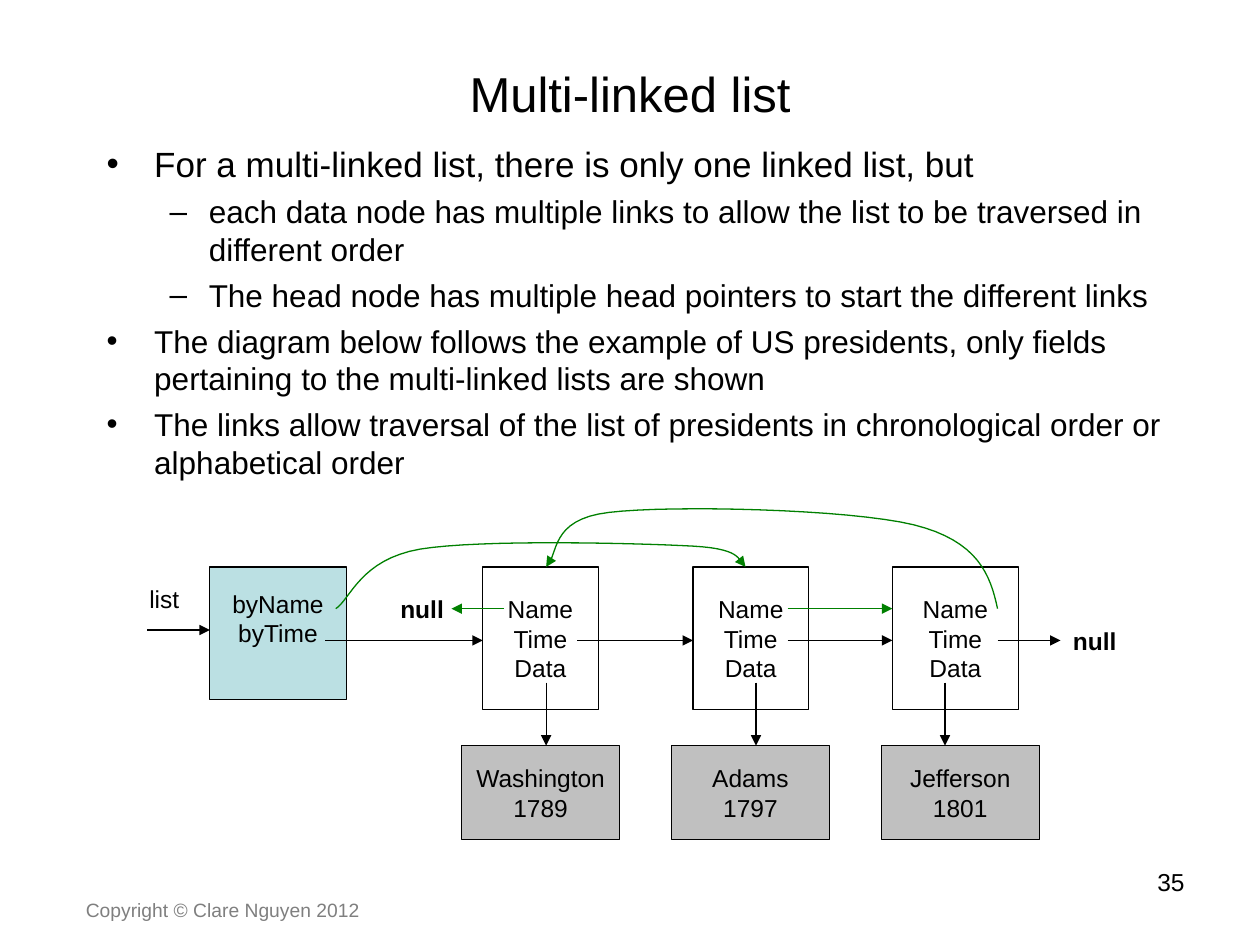
import dataclasses

import pptx
import pptx.dml.color
import pptx.enum.shapes
import pptx.enum.text
import pptx.oxml
import pptx.oxml.ns
import pptx.util
from lxml import etree

Cm = pptx.util.Cm
Pt = pptx.util.Pt
qn = pptx.oxml.ns.qn
ALIGN = pptx.enum.text.PP_ALIGN
ANCHOR = pptx.enum.text.MSO_ANCHOR


@dataclasses.dataclass(frozen=True)
class Theme:
    """Colours, font and type sizes of the slide."""
    font: str = "Arial"
    ink: str = "000000"
    muted: str = "7F7F7F"
    head: str = "BBE0E3"
    data: str = "C0C0C0"
    by_name: str = "008000"
    title: int = 28
    lead: int = 20
    body: int = 18
    label: int = 14
    footer: int = 11
    line: float = 0.75


class SlideBuilder:
    """Draws styled elements on the current slide."""

    def __init__(self, prs, theme):
        """Add a blank slide."""
        self.theme = theme
        self.s = prs.slides.add_slide(prs.slide_layouts[6])

    def rgb(self, value):
        """Return a colour object."""
        return pptx.dml.color.RGBColor.from_string(value)

    def run(self, p, text, size, color=None, bold=False):
        """Add one styled run to a paragraph."""
        r = p.add_run()
        r.text = text
        r.font.name = self.theme.font
        r.font.size = Pt(size)
        r.font.bold = bold
        r.font.color.rgb = self.rgb(color or self.theme.ink)

    def lines(self, tf, texts, size, align, **style):
        """Write one paragraph per text."""
        for i, text in enumerate(texts):
            p = tf.add_paragraph() if i else tf.paragraphs[0]
            p.alignment = align
            self.run(p, text, size, **style)

    def text(self, box, text, size, align=ALIGN.LEFT, anchor=ANCHOR.TOP, wrap=True, **style):
        """Add a one-paragraph text box that grows with its text unless it wraps."""
        tf = self.s.shapes.add_textbox(*map(Cm, box)).text_frame
        tf.word_wrap = wrap
        if not wrap:
            tf.auto_size = pptx.enum.text.MSO_AUTO_SIZE.SHAPE_TO_FIT_TEXT
        tf.vertical_anchor = anchor
        self.lines(tf, [text], size, align, **style)

    def bullets(self, box, items):
        """Add a two-level bulleted list."""
        levels = (("•", 0.96, -0.96), ("–", 2.06, -0.79))
        tf = self.s.shapes.add_textbox(*map(Cm, box)).text_frame
        tf.word_wrap = True
        for i, (level, size, text) in enumerate(items):
            p = tf.add_paragraph() if i else tf.paragraphs[0]
            mark, margin, indent = levels[level]
            p.level = level
            if i:
                p.space_before = Pt(4.5)
            pPr = p._p.get_or_add_pPr()
            pPr.set("marL", str(Cm(margin)))
            pPr.set("indent", str(Cm(indent)))
            etree.SubElement(pPr, qn("a:buFont"), typeface=self.theme.font)
            etree.SubElement(pPr, qn("a:buChar"), char=mark)
            self.run(p, text, size)

    def box(self, box, texts, fill=None, bottom=0.13):
        """Add an outlined rectangle with centred lines."""
        sp = self.s.shapes.add_shape(pptx.enum.shapes.MSO_SHAPE.RECTANGLE, *map(Cm, box))
        sp.shadow.inherit = False
        if fill:
            sp.fill.solid()
            sp.fill.fore_color.rgb = self.rgb(fill)
        else:
            sp.fill.background()
        sp.line.color.rgb = self.rgb(self.theme.ink)
        sp.line.width = Pt(self.theme.line)
        tf = sp.text_frame
        tf.word_wrap = False
        tf.vertical_anchor = ANCHOR.MIDDLE
        tf.margin_bottom = Cm(bottom)
        self.lines(tf, texts, self.theme.label, ALIGN.CENTER)

    def arrowhead(self, sp, color):
        """Style a line and put a triangle at its end."""
        sp.line.color.rgb = self.rgb(color)
        sp.line.width = Pt(self.theme.line)
        ln = sp._element.spPr.find(qn("a:ln"))
        etree.SubElement(ln, qn("a:tailEnd"), type="triangle")

    def arrow(self, x1, y1, x2, y2, color=None):
        """Add a straight arrow."""
        kind = pptx.enum.shapes.MSO_CONNECTOR.STRAIGHT
        sp = self.s.shapes.add_connector(kind, *map(Cm, (x1, y1, x2, y2)))
        self.arrowhead(sp, color or self.theme.ink)
        etree.SubElement(sp._element.spPr, qn("a:effectLst"))

    def curve(self, points, color, steps=16):
        """Add a curved arrow through a chain of cubic Bézier segments."""
        track = []
        for i in range(0, len(points) - 1, 3):
            a, b, c, d = points[i:i + 4]
            for k in range(1, steps + 1):
                t = k / steps
                u = 1 - t
                weights = (u ** 3, 3 * u * u * t, 3 * u * t * t, t ** 3)
                track.append(tuple(Cm(sum(w * q for w, q in zip(weights, axis)))
                                   for axis in zip(a, b, c, d)))
        fb = self.s.shapes.build_freeform(*map(Cm, points[0]))
        fb.add_line_segments(track, close=False)
        sp = fb.convert_to_shape()
        sp.shadow.inherit = False
        sp.fill.background()
        self.arrowhead(sp, color)


def main():
    """Build the multi-linked list slide."""
    prs = pptx.Presentation()
    prs.slide_width, prs.slide_height = Cm(25.4), Cm(19.05)
    th = Theme()
    s = SlideBuilder(prs, th)

    s.text((18.21, 17.35, 5.92, 1.32), "35", th.label, ALIGN.RIGHT)
    s.text((1.27, 0.76, 22.86, 2.21), "Multi-linked list", th.title,
           ALIGN.CENTER, ANCHOR.MIDDLE)
    s.bullets((1.9, 2.75, 22.02, 13.64), [
        (0, th.lead, "For a multi-linked list, there is only one linked list, but"),
        (1, th.body, "each data node has multiple links to allow the list to be "
                     "traversed in different order"),
        (1, th.body, "The head node has multiple head pointers to start the different links"),
        (0, th.body, "The diagram below follows the example of US presidents, only fields "
                     "pertaining to the multi-linked lists are shown"),
        (0, th.body, "The links allow traversal of the list of presidents in chronological "
                     "order or alphabetical order"),
    ])

    node_y, data_y, name_y, time_y = 11.43, 15.03, 12.27, 12.91
    s.box((4.23, node_y, 2.75, 2.67), ["byName", "byTime"], th.head, bottom=0.72)
    presidents = [
        ("Washington", "1789", 9.73, 2.33, 11.01),
        ("Adams", "1797", 13.97, 2.33, 15.24),
        ("Jefferson", "1801", 17.99, 2.54, 19.05),
    ]
    for i, (name, year, x, width, link_x) in enumerate(presidents):
        s.box((x, node_y, width, 2.88), ["Name", "Time", "Data"])
        s.box((9.31 + 4.23 * i, data_y, 3.18, 1.9), [name, year], th.data)
        s.arrow(link_x, 13.76, link_x, data_y)

    for x1, x2 in ((6.56, 9.73), (11.64, 13.97), (15.88, 17.99), (20.11, 21.38)):
        s.arrow(x1, time_y, x2, time_y)
    s.arrow(2.97, 12.7, 4.23, 12.7)
    for x1, x2 in ((15.88, 17.99), (10.16, 9.1)):
        s.arrow(x1, name_y, x2, name_y, th.by_name)
    s.curve([(6.77, name_y), (7.06, 12.09), (7.26, 11.28), (8.47, 11.07),
             (9.68, 10.87), (12.87, 10.95), (13.97, 11.01),
             (15.07, 11.07), (14.86, 11.35), (15.03, node_y)], th.by_name)
    s.curve([(20.11, name_y), (19.97, 11.6), (19.72, 10.9), (18.42, 10.58),
             (17.12, 10.26), (13.5, 10.18), (12.28, 10.33),
             (11.06, 10.47), (11.27, 11.2), (11.01, node_y)], th.by_name)

    s.text((2.76, 11.64, 1.12, 0.86), "list", th.label, wrap=False)
    for x, y in ((7.82, 11.86), (21.38, 12.5)):
        s.text((x, y, 1.42, 0.86), "null", th.label, wrap=False, bold=True)
    s.text((1.48, 17.99, 8.05, 0.48), "Copyright © Clare Nguyen 2012", th.footer,
           color=th.muted)

    prs.save("out.pptx")


if __name__ == "__main__":
    main()
